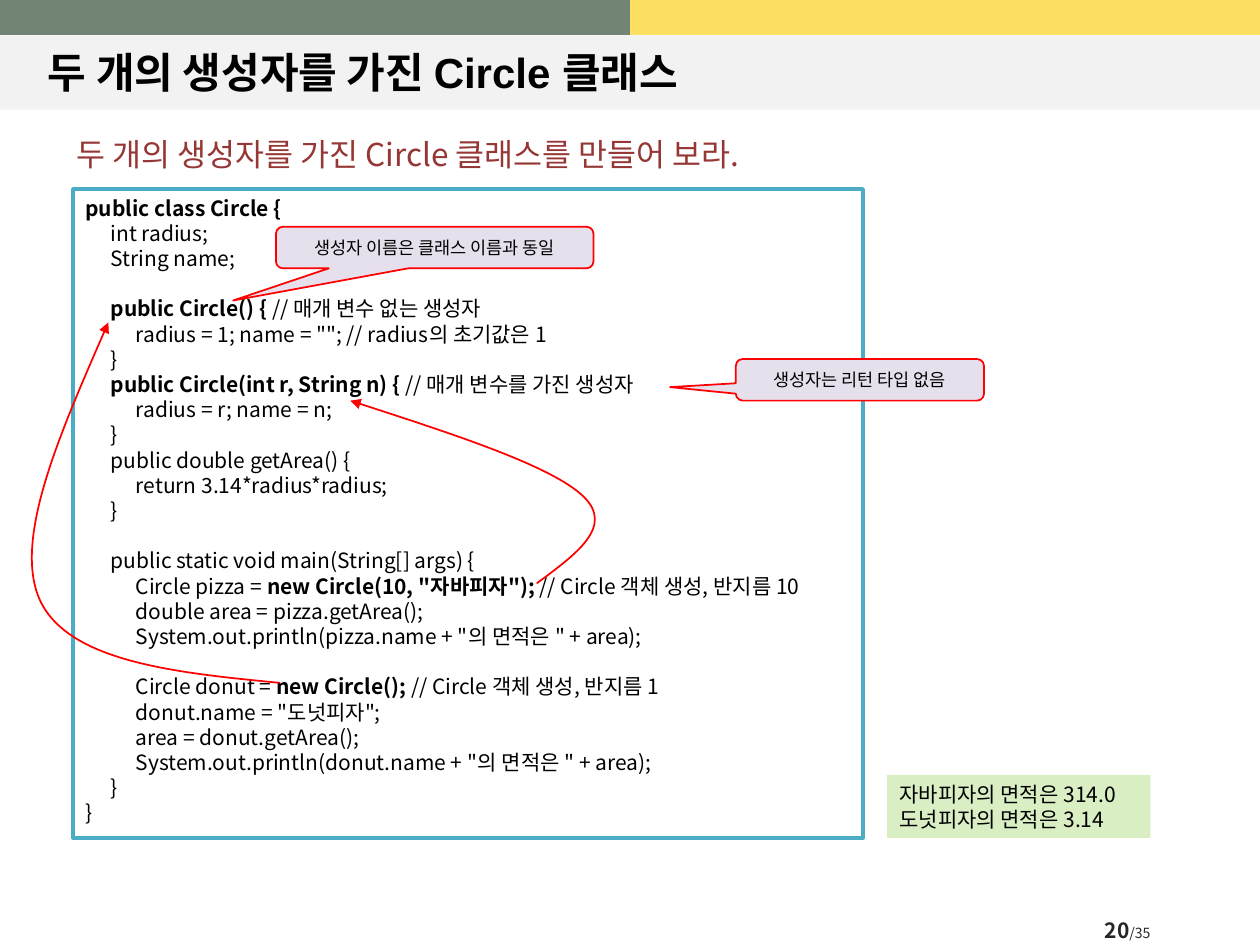
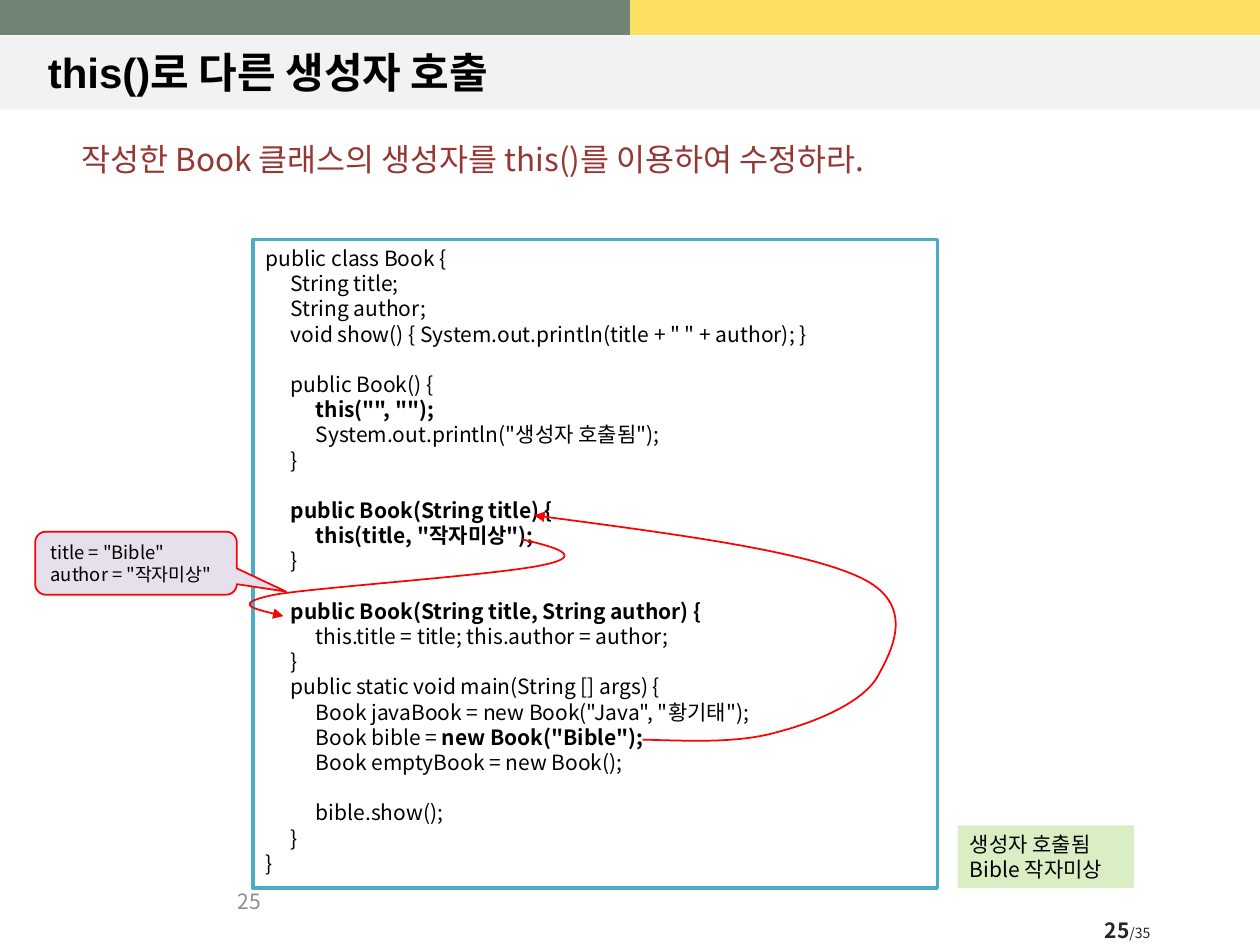
from dataclasses import dataclass

from lxml.etree import SubElement
from pptx import Presentation
from pptx.dml.color import RGBColor
from pptx.enum.shapes import MSO_SHAPE
from pptx.enum.text import MSO_ANCHOR, PP_ALIGN
from pptx.oxml.ns import qn
from pptx.slide import Slide
from pptx.util import Inches, Pt

FONT = "Noto Sans CJK KR"
BLACK, GRAY, DARK, WINE = "000000", "8C8C8C", "262626", "953735"
WHITE, PALE, GREEN, GOLD = "FFFFFF", "F2F2F2", "728574", "FDDF62"
TEAL, LIME, LILAC, RED = "4BACC6", "DAEEC4", "E6E0EC", "FF0000"
LEADING = 1.2
TAB = 0.2


@dataclass
class Box:
    left: float
    top: float
    width: float
    height: float

    def frame(self) -> list:
        return [Inches(n) for n in (self.left, self.top, self.width, self.height)]


@dataclass
class Style:
    size: float = 12
    color: str = BLACK
    bold: bool = False
    font: str = FONT
    align: PP_ALIGN = PP_ALIGN.LEFT
    anchor: MSO_ANCHOR = MSO_ANCHOR.TOP
    wrap: bool = True


@dataclass
class Callout:
    box: Box
    tip: tuple
    text: str
    style: Style


@dataclass
class Lesson:
    title: str
    task: str
    task_box: Box
    code: str
    code_box: Box
    output: str
    output_box: Box
    page: int
    callouts: list
    arrows: list


HEAD = Style(24, bold=True, font="Arial", anchor=MSO_ANCHOR.MIDDLE)
TASK = Style(18, WINE)
CODE = Style()
NOTE = Style(10, align=PP_ALIGN.CENTER, anchor=MSO_ANCHOR.MIDDLE)
VALUES = Style(10.5, anchor=MSO_ANCHOR.MIDDLE, wrap=False)
PAGE = Style(12, DARK, align=PP_ALIGN.CENTER, anchor=MSO_ANCHOR.MIDDLE, wrap=False)
COUNT = Style(12, GRAY, align=PP_ALIGN.RIGHT, anchor=MSO_ANCHOR.MIDDLE)


def rgb(code: str) -> RGBColor:
    return RGBColor.from_string(code)


def add_run(para, text: str, style: Style, bold: bool, size: float):
    run = para.add_run()
    run.text = text
    font = run.font
    font.size, font.bold = Pt(size), bold
    font.color.rgb = rgb(style.color)
    font.name = style.font
    SubElement(run._r.get_or_add_rPr(), qn("a:ea"), typeface=FONT)


def write(shape, text: str, style: Style):
    frame = shape.text_frame
    frame.word_wrap = style.wrap
    frame.vertical_anchor = style.anchor
    gap, first = 0, True
    for line in text.splitlines():
        if not line:
            gap += style.size * LEADING
            continue
        para = frame.paragraphs[0] if first else frame.add_paragraph()
        first = False
        para.alignment = style.align
        para.line_spacing = Pt(style.size * LEADING)
        para.space_before = Pt(gap)
        gap = 0
        if line.startswith("    "):
            stops = SubElement(para._p.get_or_add_pPr(), qn("a:tabLst"))
            for step in (1, 2):
                SubElement(stops, qn("a:tab"), pos=str(Inches(TAB * step)), algn="l")
        for i, part in enumerate(line.replace("    ", "\t").split("|")):
            if part:
                add_run(para, part, style, style.bold or i % 2 == 1, style.size)


def add_text(slide: Slide, box: Box, text: str, style: Style):
    shape = slide.shapes.add_textbox(*box.frame())
    write(shape, text, style)
    return shape


def paint(shape, fill: str = "", line: str = "", width: float = 1):
    shape.shadow.inherit = False
    if fill:
        shape.fill.solid()
        shape.fill.fore_color.rgb = rgb(fill)
    else:
        shape.fill.background()
    if line:
        shape.line.color.rgb = rgb(line)
        shape.line.width = Pt(width)
    else:
        shape.line.fill.background()


def add_panel(slide: Slide, box: Box, fill: str, line: str = "",
              width: float = 1, kind=MSO_SHAPE.RECTANGLE):
    shape = slide.shapes.add_shape(kind, *box.frame())
    paint(shape, fill, line, width)
    return shape


def add_callout(slide: Slide, note: Callout):
    shape = add_panel(slide, note.box, LILAC, RED, 1,
                      MSO_SHAPE.ROUNDED_RECTANGULAR_CALLOUT)
    for i, value in enumerate((*note.tip, 0.167)):
        shape.adjustments[i] = value
    write(shape, note.text, note.style)


def add_arrow(slide: Slide, points: list):
    spots = [(Inches(x), Inches(y)) for x, y in points]
    maker = slide.shapes.build_freeform(*spots[0])
    maker.add_line_segments(spots[3::3], close=False)
    shape = maker.convert_to_shape()
    paint(shape, line=RED)
    for i, node in enumerate(shape.element.findall(".//" + qn("a:lnTo"))):
        node.tag = qn("a:cubicBezTo")
        node.remove(node[0])
        for x, y in spots[3 * i + 1:3 * i + 4]:
            SubElement(node, qn("a:pt"), x=str(x - shape.left), y=str(y - shape.top))
    SubElement(shape.element.find(".//" + qn("a:ln")), qn("a:tailEnd"), type="triangle")


def add_bands(slide: Slide, layout):
    strip = add_panel(slide, Box(0, 0.28, 10, 0.59), PALE)
    holder = slide.shapes.add_table(1, 2, *Box(0, 0, 10, 0.28).frame())
    holder.element.find(".//" + qn("a:tableStyleId")).text = (
        "{2D5ABB26-0587-4C30-8999-92F81FD0307C}")
    for cell, color in zip(holder.table.iter_cells(), (GREEN, GOLD)):
        cell.fill.solid()
        cell.fill.fore_color.rgb = rgb(color)
        cell.margin_top = cell.margin_bottom = 0
        SubElement(cell.text_frame.paragraphs[0]._p, qn("a:endParaRPr"), sz="800")
    for shape in (strip, holder):
        layout.shapes.element.append(shape.element)


def add_page(slide: Slide, page: int):
    shape = add_text(slide, Box(8.47, 7.25, 0.96, 0.26), f"|{page}|", PAGE)
    shape.text_frame.margin_left = shape.text_frame.margin_right = 0
    add_run(shape.text_frame.paragraphs[0], "/35", PAGE, False, 8)


def draw(slide: Slide, lesson: Lesson):
    title = slide.shapes.title
    title.left, title.top, title.width, title.height = Box(0.28, 0.29, 9.45, 0.56).frame()
    write(title, lesson.title, HEAD)
    add_page(slide, lesson.page)
    add_text(slide, lesson.task_box, lesson.task, TASK)
    write(add_panel(slide, lesson.code_box, WHITE, TEAL, 2), lesson.code, CODE)
    write(add_panel(slide, lesson.output_box, LIME), lesson.output, CODE)
    for points in lesson.arrows:
        add_arrow(slide, points)
    for note in lesson.callouts:
        add_callout(slide, note)


CIRCLE = """|public class Circle {|
    int radius;
    String name;

    |public Circle() {| // 매개 변수 없는 생성자
        radius = 1; name = ""; // radius의 초기값은 1
    }
    |public Circle(int r, String n) { |// 매개 변수를 가진 생성자
        radius = r; name = n;
    }
    public double getArea() {
        return 3.14*radius*radius;
    }

    public static void main(String[] args) {
        Circle pizza = |new Circle(10, "자바피자"); |// Circle 객체 생성, 반지름 10
        double area = pizza.getArea();
        System.out.println(pizza.name + "의 면적은 " + area);

        Circle donut = |new Circle(); |// Circle 객체 생성, 반지름 1
        donut.name = "도넛피자";
        area = donut.getArea();
        System.out.println(donut.name + "의 면적은 " + area);
    }
}"""

BOOK = """public class Book {
    String title;
    String author;
    void show() { System.out.println(title + " " + author); }

    public Book() {
        |this("", "");|
        System.out.println("생성자 호출됨");
    }

    |public Book(String title) {|
        |this(title, "작자미상");|
    }

    |public Book(String title, String author) {|
        this.title = title; this.author = author;
    }
    public static void main(String [] args) {
        Book javaBook = new Book("Java", "황기태");
        Book bible = |new Book("Bible");|
        Book emptyBook = new Book();

        bible.show();
    }
}"""

LESSONS = [
    Lesson(
        "두 개의 생성자를 가진 Circle 클래스",
        "두 개의 생성자를 가진 Circle 클래스를 만들어 보라.", Box(0.51, 1.02, 7.57, 0.4),
        CIRCLE, Box(0.58, 1.5, 6.27, 5.15),
        "자바피자의 면적은 314.0\n도넛피자의 면적은 3.14", Box(7.04, 6.15, 2.09, 0.5),
        20,
        [Callout(Box(2.19, 1.8, 2.52, 0.33), (-0.635, 1.275),
                 "생성자 이름은 클래스 이름과 동일", NOTE),
         Callout(Box(5.84, 2.85, 1.97, 0.33), (-0.765, 0.176),
                 "생성자는 리턴 타입 없음", NOTE)],
        [[(4.26, 4.63), (4.57, 4.4), (4.88, 4.18), (4.63, 3.94),
          (4.38, 3.7), (3.58, 3.44), (2.78, 3.18)],
         [(2.22, 5.42), (1.38, 5.34), (0.55, 5.25), (0.32, 4.77),
          (0.1, 4.3), (0.48, 3.43), (0.86, 2.56)]],
    ),
    Lesson(
        "this()로 다른 생성자 호출",
        "작성한 Book 클래스의 생성자를 this()를 이용하여 수정하라.", Box(0.55, 1.06, 8.56, 0.4),
        BOOK, Box(2.01, 1.9, 5.43, 5.15),
        "생성자 호출됨\nBible 작자미상", Box(7.6, 6.55, 1.4, 0.5),
        25,
        [Callout(Box(0.28, 4.22, 1.6, 0.5), (0.744, 0.451),
                 'title = "Bible"\nauthor = "작자미상"', VALUES)],
        [[(5.1, 5.87), (5.48, 5.88), (5.86, 5.9), (6.17, 5.81),
          (6.48, 5.73), (6.86, 5.57), (6.97, 5.36),
          (7.08, 5.16), (7.28, 4.79), (6.82, 4.58),
          (6.37, 4.37), (5.3, 4.23), (4.24, 4.09)],
         [(4.14, 4.28), (4.4, 4.34), (4.65, 4.41), (4.33, 4.48),
          (4, 4.56), (2.53, 4.66), (2.18, 4.72),
          (1.84, 4.79), (2.04, 4.84), (2.25, 4.89)]],
    ),
]


def main():
    deck = Presentation()
    deck.slide_width, deck.slide_height = Inches(10), Inches(7.5)
    layout = deck.slide_layouts[5]
    slides = [deck.slides.add_slide(layout) for _ in LESSONS]
    add_bands(slides[0], layout)
    for slide, lesson in zip(slides, LESSONS):
        draw(slide, lesson)
    add_text(slides[1], Box(0, 6.95, 2.17, 0.4), "25", COUNT)
    deck.save("out.pptx")


if __name__ == "__main__":
    main()
